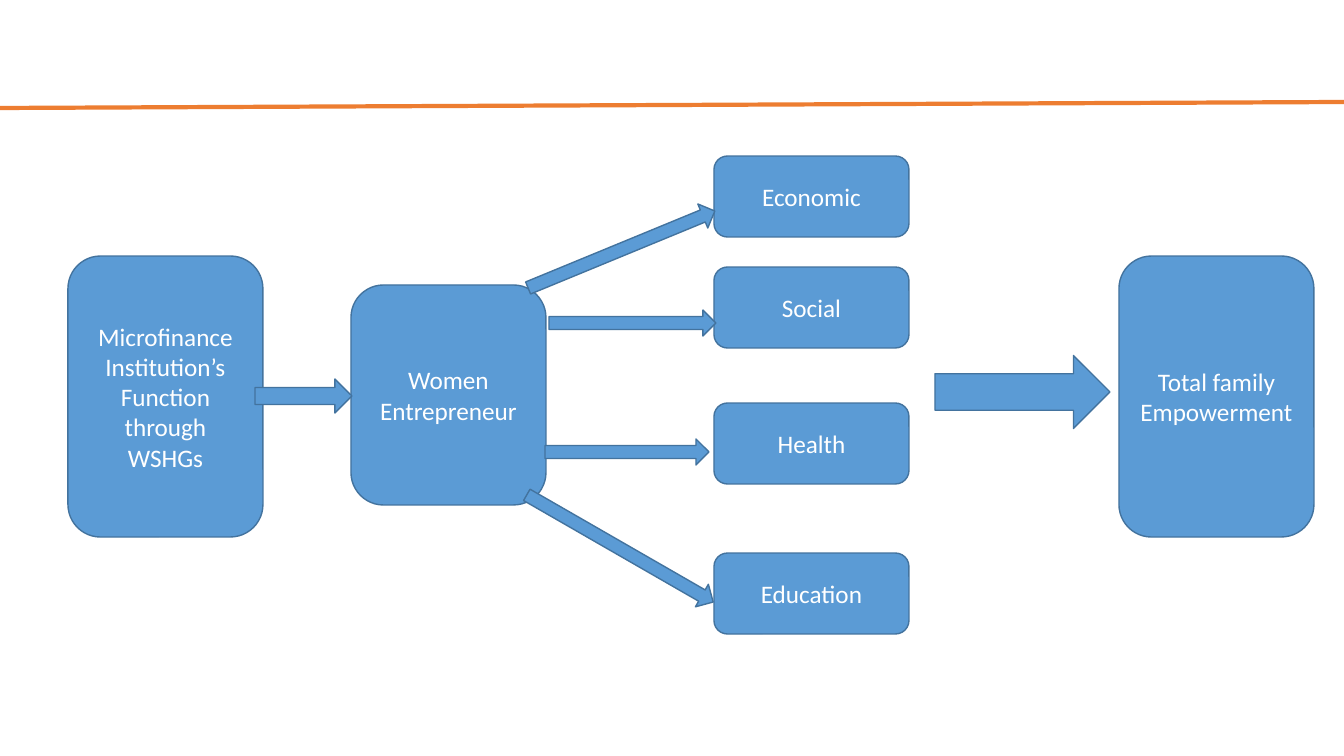
from math import atan2, degrees, hypot

from pptx import Presentation
from pptx.dml.color import RGBColor
from pptx.enum.shapes import MSO_CONNECTOR, MSO_SHAPE
from pptx.enum.text import MSO_ANCHOR, PP_ALIGN
from pptx.oxml.ns import qn
from pptx.util import Emu, Pt
from lxml.etree import SubElement


def px(length):
    return Emu(round(length * 914400 / 100.8))


def color(hex_string):
    return RGBColor.from_string(hex_string)


class FlowPage:
    font, text_size = "Calibri", 18
    fill, outline, text, accent = "5B9BD5", "43739E", "FFFFFF", "ED7D31"

    def __init__(self, deck):
        self.page = deck.slides.add_slide(deck.slide_layouts[6])

    def shape(self, kind, left, top, width, height):
        shape = self.page.shapes.add_shape(
            kind, px(left), px(top), px(width), px(height))
        shape.shadow.inherit = False
        shape.fill.solid()
        shape.fill.fore_color.rgb = color(self.fill)
        shape.line.color.rgb = color(self.outline)
        shape.line.width = Pt(1)
        return shape

    def box(self, label, left, top, width, height):
        box = self.shape(MSO_SHAPE.ROUNDED_RECTANGLE, left, top, width, height)
        frame = box.text_frame
        frame.word_wrap = True
        frame.vertical_anchor = MSO_ANCHOR.MIDDLE
        para = frame.paragraphs[0]
        para.alignment = PP_ALIGN.CENTER
        span = para.add_run()
        span.text = label
        span.font.name = self.font
        span.font.size = Pt(self.text_size)
        span.font.color.rgb = color(self.text)

    def arrow(self, x1, y1, x2, y2, thickness=26):
        """Block arrow whose axis runs from (x1, y1) to (x2, y2)."""
        length = round(hypot(x2 - x1, y2 - y1))
        left = (x1 + x2 - length) / 2
        top = (y1 + y2 - thickness) / 2
        arrow = self.shape(MSO_SHAPE.RIGHT_ARROW, left, top, length, thickness)
        arrow.rotation = round(degrees(atan2(y2 - y1, x2 - x1)), 1)

    def rule(self, x1, y1, x2, y2):
        line = self.page.shapes.add_connector(
            MSO_CONNECTOR.STRAIGHT, px(x1), px(y1), px(x2), px(y2))
        line.line.color.rgb = color(self.accent)
        line.line.width = Pt(3)
        SubElement(line._element.spPr, qn("a:effectLst"))


def main():
    deck = Presentation()
    deck.slide_width, deck.slide_height = px(1344), px(756)
    flow = FlowPage(deck)
    box_width = 195

    # Header rule
    flow.rule(0, 108, 1344, 102)

    # Main stages
    for label, left, top, height in (
        ("Microfinance Institution’s Function through WSHGs", 68, 256, 281),
        ("Women Entrepreneur", 351, 285, 220),
        ("Total family Empowerment", 1119, 256, 281),
    ):
        flow.box(label, left, top, box_width, height)

    # Kinds of empowerment
    for label, top in (("Economic", 156), ("Social", 267),
                       ("Health", 403), ("Education", 553)):
        flow.box(label, 714, top, box_width, 81)

    # Arrows between the stages
    flow.arrow(255, 396, 352, 396, 34)
    flow.arrow(935, 392, 1110, 392, 73)

    # Arrows from the entrepreneur to each kind
    for ends in ((528, 288, 715, 211), (549, 323, 716, 323),
                 (545, 452, 709, 452), (527, 495, 713, 602)):
        flow.arrow(*ends)

    deck.save("out.pptx")


if __name__ == "__main__":
    main()
